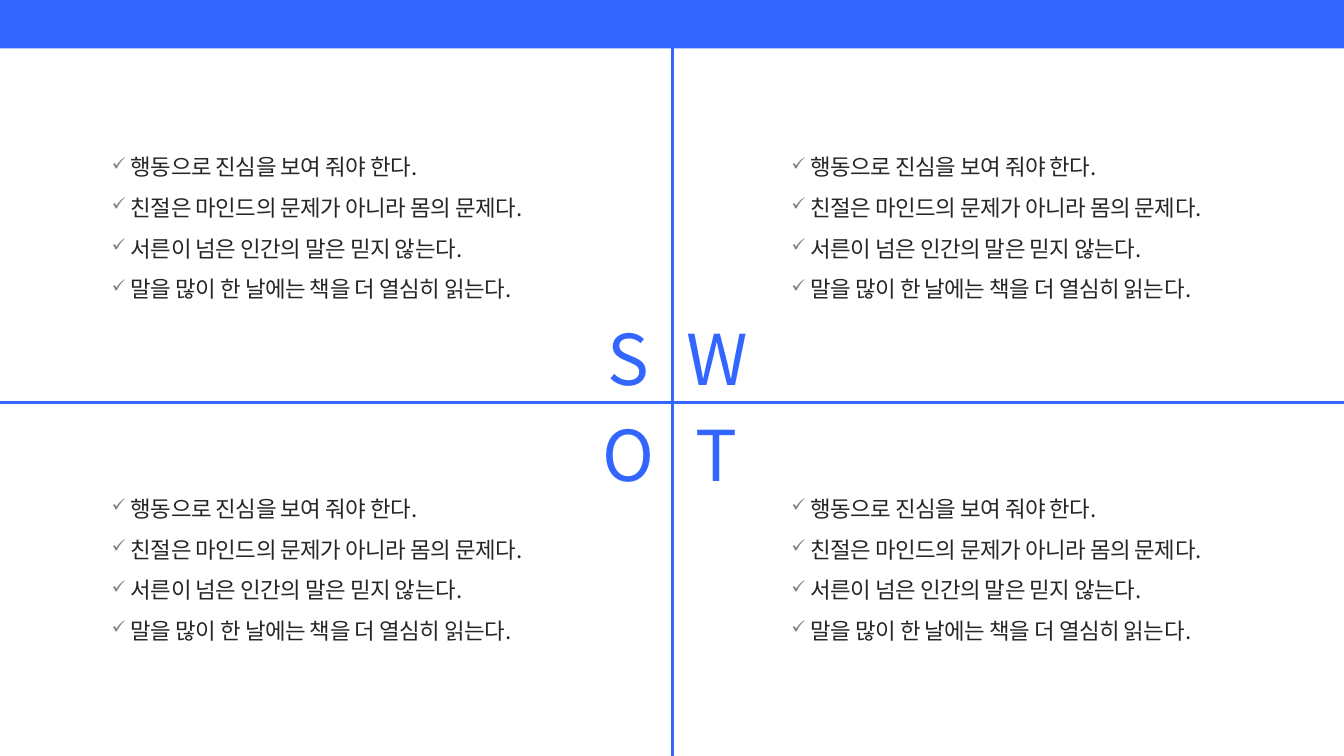
from lxml.etree import SubElement
from pptx import Presentation
from pptx.dml.color import RGBColor
from pptx.enum.shapes import MSO_CONNECTOR, MSO_SHAPE
from pptx.enum.text import MSO_ANCHOR, PP_ALIGN
from pptx.oxml.ns import qn
from pptx.util import Inches, Pt

BLUE = RGBColor(0x33, 0x66, 0xFF)
INK = RGBColor(0x26, 0x26, 0x26)
CHECK_GRAY = RGBColor(0x80, 0x80, 0x80)
FONT = "Noto Sans CJK KR"

SLIDE_W, SLIDE_H = 13.33, 7.5
BAND_H = 0.48
CENTER_X, CENTER_Y = 6.67, 3.99
LETTER_W, LETTER_H = 0.88, 0.73
LIST_W, LIST_H = 4.57, 1.47

POINTS = [
    "행동으로 진심을 보여 줘야 한다.",
    "친절은 마인드의 문제가 아니라 몸의 문제다.",
    "서른이 넘은 인간의 말은 믿지 않는다.",
    "말을 많이 한 날에는 책을 더 열심히 읽는다.",
]

# Letter, letter left and top, list left and top
QUADRANTS = [
    ("S", CENTER_X - LETTER_W, 3.14, 1.01, 1.42),
    ("W", CENTER_X, 3.14, 7.75, 1.42),
    ("O", CENTER_X - LETTER_W, 4.09, 1.01, 4.81),
    ("T", CENTER_X, 4.09, 7.75, 4.81),
]


def add_run(paragraph, text, size, color, spacing=None):
    run = paragraph.add_run()
    run.text = text
    run.font.size = Pt(size)
    run.font.color.rgb = color
    run.font.name = FONT
    properties = run.font._element
    SubElement(properties, qn("a:ea")).set("typeface", FONT)
    if spacing is not None:
        properties.set("spc", str(spacing))


def add_check_bullet(paragraph):
    properties = paragraph._p.get_or_add_pPr()
    properties.set("marL", str(Inches(0.19)))
    properties.set("indent", str(Inches(-0.19)))
    bullet_color = SubElement(properties, qn("a:buClr"))
    SubElement(bullet_color, qn("a:srgbClr")).set("val", str(CHECK_GRAY))
    SubElement(properties, qn("a:buSzPct")).set("val", "80000")
    SubElement(properties, qn("a:buChar")).set("char", "✓")


def add_band(slide, left, top, width, height):
    band = slide.shapes.add_shape(
        MSO_SHAPE.RECTANGLE, Inches(left), Inches(top), Inches(width), Inches(height))
    band.shadow.inherit = False
    band.fill.solid()
    band.fill.fore_color.rgb = BLUE
    band.line.fill.background()


def add_divider(slide, x1, y1, x2, y2):
    divider = slide.shapes.add_connector(
        MSO_CONNECTOR.STRAIGHT, Inches(x1), Inches(y1), Inches(x2), Inches(y2))
    divider.line.color.rgb = BLUE
    divider.line.width = Pt(2)
    SubElement(divider._element.spPr, qn("a:effectLst"))


def add_letter(slide, letter, left, top, width, height):
    frame = slide.shapes.add_textbox(
        Inches(left), Inches(top), Inches(width), Inches(height)).text_frame
    frame.word_wrap = False
    frame.vertical_anchor = MSO_ANCHOR.MIDDLE
    paragraph = frame.paragraphs[0]
    paragraph.alignment = PP_ALIGN.CENTER
    paragraph.line_spacing = 1.1
    add_run(paragraph, letter, 50, BLUE)


def add_checklist(slide, points, left, top, width, height):
    frame = slide.shapes.add_textbox(
        Inches(left), Inches(top), Inches(width), Inches(height)).text_frame
    frame.word_wrap = True
    for index, point in enumerate(points):
        paragraph = frame.add_paragraph() if index else frame.paragraphs[0]
        add_check_bullet(paragraph)
        paragraph.line_spacing = 1.2
        paragraph.space_after = Pt(6)
        add_run(paragraph, point, 16, INK, spacing=-30)


def main():
    deck = Presentation()
    deck.slide_width, deck.slide_height = Inches(SLIDE_W), Inches(SLIDE_H)
    slide = deck.slides.add_slide(deck.slide_layouts[6])

    # Top band
    add_band(slide, -0.01, 0, SLIDE_W + 0.02, BAND_H)

    # Quadrant letters around the crossing
    for letter, left, top, _, _ in QUADRANTS:
        add_letter(slide, letter, left, top, LETTER_W, LETTER_H)

    # Crossing dividers
    add_divider(slide, 0, CENTER_Y, SLIDE_W, CENTER_Y)
    add_divider(slide, CENTER_X, BAND_H, CENTER_X, SLIDE_H)

    # Quadrant checklists
    for _, _, _, left, top in QUADRANTS:
        add_checklist(slide, POINTS, left, top, LIST_W, LIST_H)

    deck.save("out.pptx")


if __name__ == "__main__":
    main()
